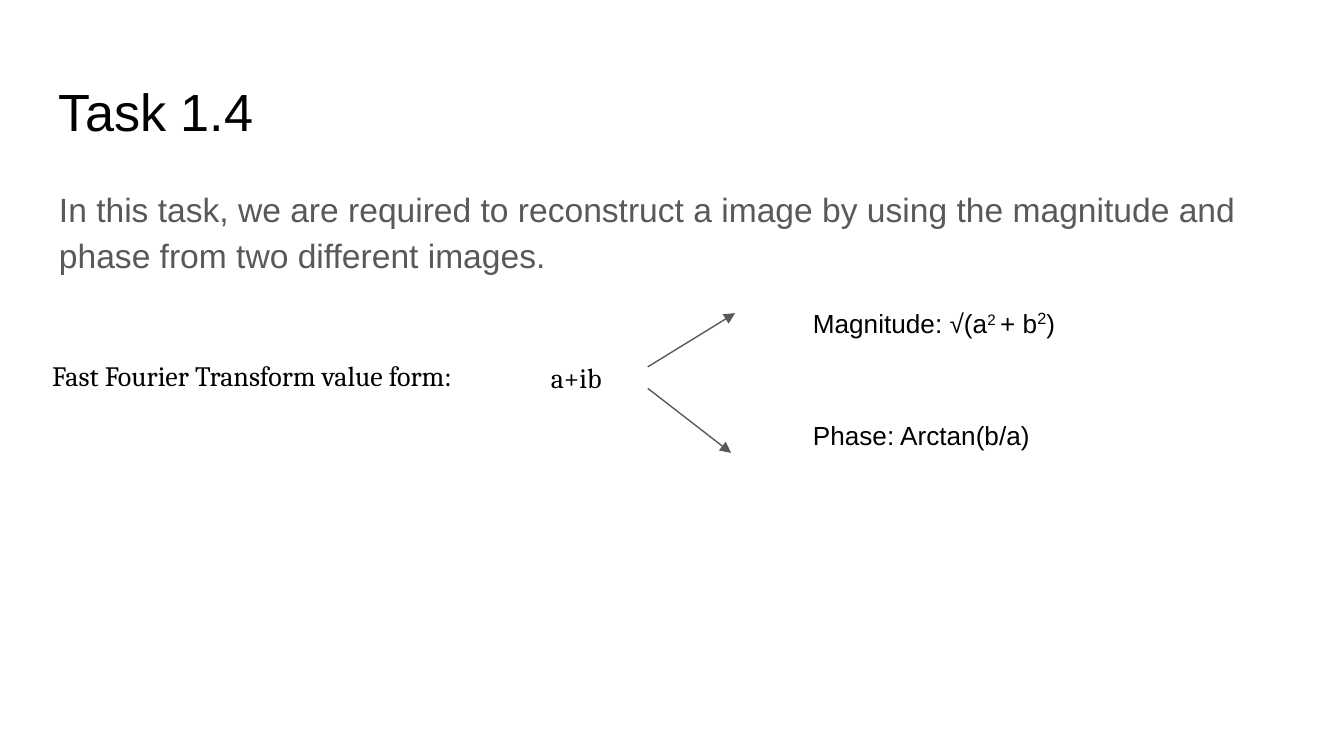
from dataclasses import dataclass

from lxml import etree
from pptx import Presentation
from pptx.dml.color import RGBColor
from pptx.enum.shapes import MSO_CONNECTOR
from pptx.enum.text import MSO_ANCHOR
from pptx.oxml.ns import qn
from pptx.util import Inches, Pt

STRAIGHT = MSO_CONNECTOR.STRAIGHT
TOP, MIDDLE = MSO_ANCHOR.TOP, MSO_ANCHOR.MIDDLE


@dataclass(frozen=True)
class Theme:
    black: RGBColor = RGBColor(0x00, 0x00, 0x00)
    grey: RGBColor = RGBColor(0x59, 0x59, 0x59)
    sans: str = "Arial"
    serif: str = "Cambria"
    title: Pt = Pt(28)
    body: Pt = Pt(18)
    form: Pt = Pt(15)
    formula: Pt = Pt(14)
    arrow: Pt = Pt(0.75)


theme = Theme()

presentation = Presentation()
presentation.slide_width = Inches(10)
presentation.slide_height = Inches(10 * 9 / 16)
slide = presentation.slides.add_slide(presentation.slide_layouts[6])


def add_text(box, text, size, font=theme.sans, color=theme.black, anchor=TOP):
    frame = slide.shapes.add_textbox(*map(Inches, box)).text_frame
    frame.word_wrap = True
    frame.vertical_anchor = anchor
    frame.margin_left = frame.margin_right = Inches(0.1)
    frame.margin_top = frame.margin_bottom = Inches(0.1)
    paragraph = frame.paragraphs[0]
    paragraph.text = text
    paragraph.font.size = size
    paragraph.font.name = font
    paragraph.font.color.rgb = color
    return paragraph


add_text((0.34, 0.49, 9.32, 0.63), "Task 1.4", theme.title)

description = add_text(
    (0.34, 1.26, 9.32, 3.74),
    "In this task, we are required to reconstruct a image by using "
    "the magnitude and phase from two different images.",
    theme.body,
    color=theme.grey,
)
description.line_spacing = 1.15
description.space_after = Pt(16)

add_text((0.29, 2.57, 3.56, 0.48), "Fast Fourier Transform value form:", theme.form, theme.serif)

for start_y, end_x, end_y in [(2.89, 5.44, 3.37), (2.73, 5.47, 2.33)]:
    arrow = slide.shapes.add_connector(
        STRAIGHT, Inches(4.82), Inches(start_y), Inches(end_x), Inches(end_y)
    )
    arrow.line.color.rgb = theme.grey
    arrow.line.width = theme.arrow
    outline = arrow._element.spPr.find(qn("a:ln"))
    etree.SubElement(outline, qn("a:tailEnd"), type="triangle")
    etree.SubElement(arrow._element.spPr, qn("a:effectLst"))

magnitude = add_text((5.95, 2.17, 2.84, 0.48), "Magnitude: √(a", theme.formula)
for text, size, raised in [
    ("2 ", theme.formula, True),
    ("+ b", theme.formula, False),
    ("2", theme.form, True),
    (")", theme.formula, False),
]:
    term = magnitude.add_run()
    term.text = text
    term.font.size = size
    if raised:
        term._r.get_or_add_rPr().set("baseline", "30000")

add_text((5.95, 3.02, 2.17, 0.5), "Phase: Arctan(b/a)", theme.formula)
add_text((4, 2.42, 0.96, 0.78), "a+ib", theme.form, theme.serif, anchor=MIDDLE)

presentation.save("out.pptx")
